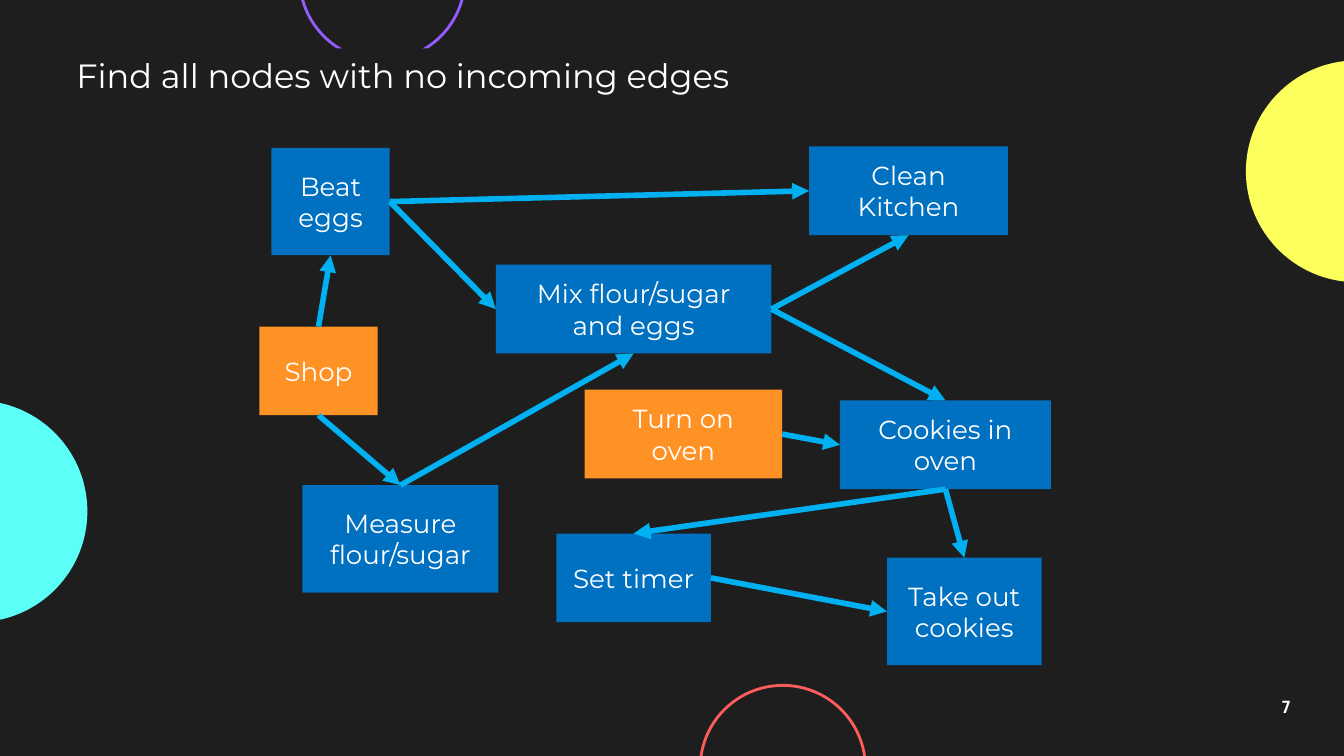
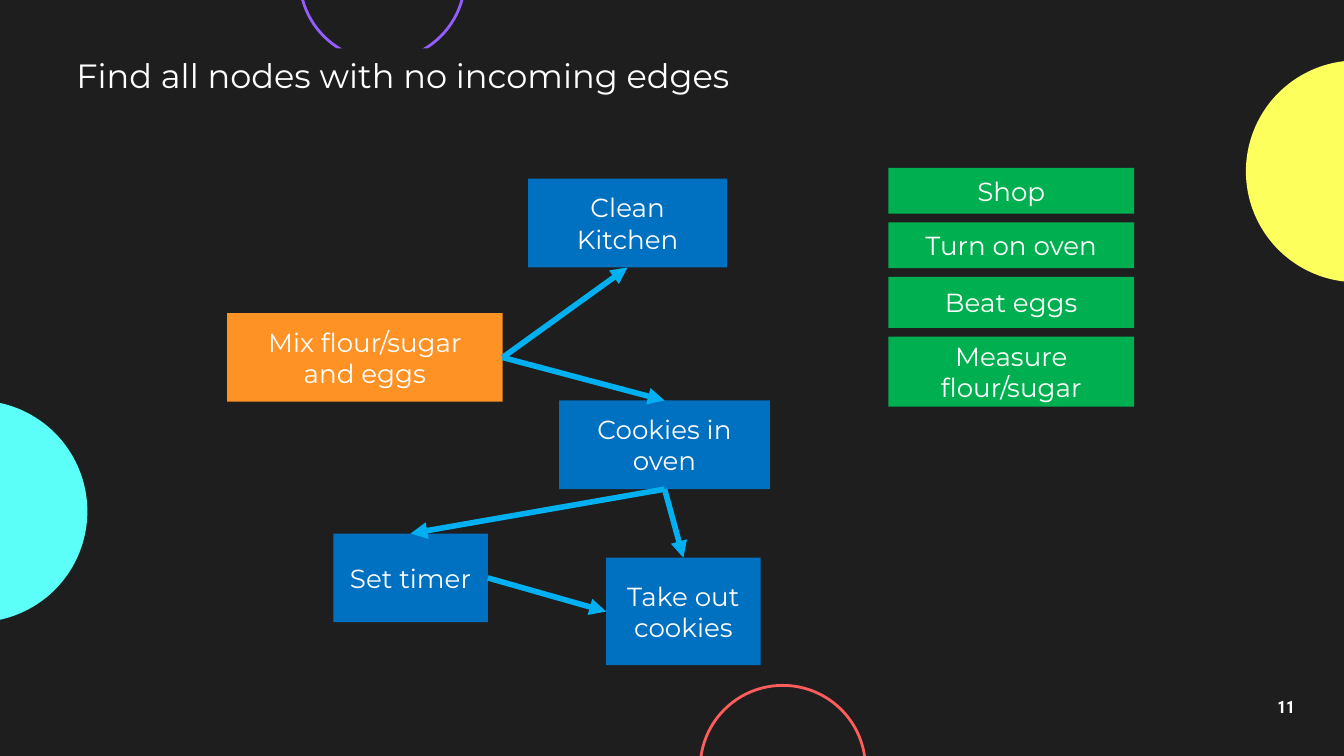
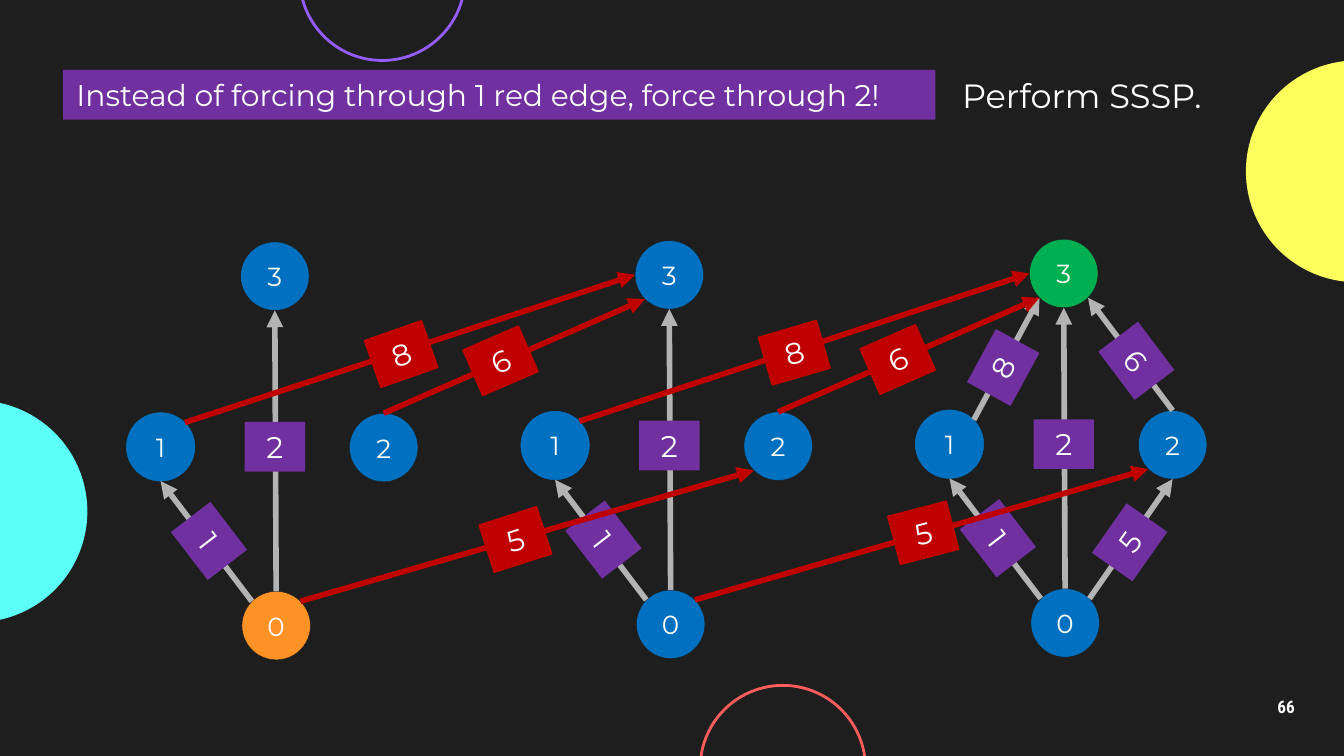
from typing import NamedTuple

from lxml.etree import SubElement
from pptx import Presentation
from pptx.dml.color import RGBColor
from pptx.enum.shapes import MSO_CONNECTOR, MSO_SHAPE
from pptx.enum.text import MSO_ANCHOR, MSO_AUTO_SIZE, PP_ALIGN
from pptx.oxml.ns import qn
from pptx.util import Inches, Pt

# The slide is a grid of 100 columns by 56.25 rows of square cells.
CELL = Inches(0.1)
COLUMNS, ROWS = 100, 56.25

DARK, WHITE, GREY = "1E1E1E", "FFFFFF", "B3B3B3"
BLUE, SKY, ORANGE = "0070C0", "00B0F0", "FF9225"
GREEN, PURPLE, RED = "00B050", "7030A0", "C00000"

NODE_TEXT = {"size": Pt(14), "name": "Montserrat"}
LABEL_TEXT = {"size": Pt(16), "name": "Montserrat"}
TITLE_TEXT = {"size": Pt(18), "name": "Montserrat"}
PAGE_TEXT = {"size": Pt(9.2), "name": "Roboto Condensed", "bold": True}

MIDDLE = {"vertical_anchor": MSO_ANCHOR.MIDDLE, "word_wrap": True}
GROWING = {"vertical_anchor": MSO_ANCHOR.TOP, "word_wrap": True,
           "auto_size": MSO_AUTO_SIZE.SHAPE_TO_FIT_TEXT}
ONE_LINE = GROWING | {"word_wrap": False}
PAGE_FRAME = MIDDLE | {f"margin_{side}": CELL for side in ("left", "top", "right", "bottom")}

# Directions from the centre of a shape to its outline.
TOP, BOTTOM, LEFT, RIGHT = (0, -1), (0, 1), (-1, 0), (1, 0)
DIAGONAL = 0.71
TOP_LEFT, TOP_RIGHT = (-DIAGONAL, -DIAGONAL), (DIAGONAL, -DIAGONAL)
BOTTOM_LEFT, BOTTOM_RIGHT = (-DIAGONAL, DIAGONAL), (DIAGONAL, DIAGONAL)

TASK_SIZES = {
    "Beat eggs": (8.8, 8),
    "Mix flour/sugar and eggs": (20.5, 6.6),
    "Clean Kitchen": (14.8, 6.6),
    "Cookies in oven": (15.7, 6.6),
    "Turn on oven": (14.7, 6.6),
    "Shop": (8.8, 6.6),
    "Measure flour/sugar": (14.6, 8),
    "Set timer": (11.5, 6.6),
    "Take out cookies": (11.5, 8),
}
TASK_EDGES = [
    ("Beat eggs", RIGHT, "Clean Kitchen", LEFT),
    ("Beat eggs", RIGHT, "Mix flour/sugar and eggs", LEFT),
    ("Mix flour/sugar and eggs", RIGHT, "Clean Kitchen", BOTTOM),
    ("Mix flour/sugar and eggs", RIGHT, "Cookies in oven", TOP),
    ("Measure flour/sugar", TOP, "Mix flour/sugar and eggs", BOTTOM),
    ("Shop", TOP, "Beat eggs", BOTTOM),
    ("Shop", BOTTOM, "Measure flour/sugar", TOP),
    ("Turn on oven", RIGHT, "Cookies in oven", LEFT),
    ("Cookies in oven", BOTTOM, "Set timer", TOP),
    ("Cookies in oven", BOTTOM, "Take out cookies", TOP),
    ("Set timer", RIGHT, "Take out cookies", LEFT),
]
ALL_TASKS = {
    "Beat eggs": (0.9, 0.1),
    "Mix flour/sugar and eggs": (17.6, 8.8),
    "Clean Kitchen": (40.9, 0),
    "Cookies in oven": (43.2, 18.9),
    "Turn on oven": (24.2, 18.1),
    "Shop": (0, 13.4),
    "Measure flour/sugar": (3.2, 25.2),
    "Set timer": (22.1, 28.8),
    "Take out cookies": (46.7, 30.6),
}
REMAINING_TASKS = {
    "Mix flour/sugar and eggs": (0, 10),
    "Clean Kitchen": (22.4, 0),
    "Cookies in oven": (24.7, 16.5),
    "Set timer": (7.9, 26.4),
    "Take out cookies": (28.2, 28.2),
}
DONE_TASKS = [("Shop", 3.4), ("Turn on oven", 3.4), ("Beat eggs", 3.8),
              ("Measure flour/sugar", 5.2)]

LAYER_NODES = {"1": (0, 12.7), "0": (8.6, 26), "2": (16.6, 12.75), "3": (8.5, 0)}
NODE_SIZE = 5.1
LABEL_SIZE = (4.5, 3.7)
LAYER_EDGES = [("0", TOP_LEFT, "1", BOTTOM), ("0", TOP, "3", BOTTOM)]
LAST_LAYER_EDGES = [("1", TOP_RIGHT, "3", BOTTOM_LEFT), ("0", TOP_RIGHT, "2", BOTTOM),
                    ("2", TOP, "3", BOTTOM_RIGHT)]
CROSS_EDGES = [("1", TOP_RIGHT, "3", LEFT), ("0", TOP_RIGHT, "2", BOTTOM_LEFT),
               ("2", TOP, "3", BOTTOM_LEFT)]
# Weight labels: text, column, row, rotation.
LAYER_LABELS = [("2", 8.8, 13.4, 0), ("1", 3.9, 20.4, 52.5)]
LAST_LAYER_LABELS = [("8", 4.3, 7.7, 298.6), ("5", 13.7, 20.7, 305.1), ("6", 14.2, 7.2, 53)]
CROSS_LABELS = [
    [("8", 18.2, 6.5, 340.7), ("5", 26.7, 20.3, 342.2), ("6", 25.6, 7, 336.6)],
    [("8", 18.1, 6.5, 343.7), ("5", 27.7, 19.9, 345.4), ("6", 25.8, 7, 336.3)],
]


class Box(NamedTuple):
    left: float
    top: float
    width: float
    height: float

    def inner(self, column, row, width, height):
        """Box placed relative to this one."""
        return Box(self.left + column, self.top + row, width, height)

    def lengths(self):
        return [int(CELL * value) for value in self]


PAGE = Box(0, 0, COLUMNS, ROWS)


def color(hex_string):
    return RGBColor.from_string(hex_string)


def set_values(target, values):
    for name, value in values.items():
        setattr(target, name, value)


def write(shape, text, font, frame, align=PP_ALIGN.CENTER):
    set_values(shape.text_frame, frame)
    paragraph = shape.text_frame.paragraphs[0]
    paragraph.alignment = align
    run = paragraph.add_run()
    run.text = text
    set_values(run.font, font)
    run.font.color.rgb = color(WHITE)
    return paragraph


def draw_shape(slide, kind, box, fill=None, line=None, line_width=0.25):
    shape = slide.shapes.add_shape(kind, *box.lengths())
    shape.shadow.inherit = False
    for paint, hex_string in ((shape.fill, fill), (shape.line.fill, line)):
        if hex_string:
            paint.solid()
            paint.fore_color.rgb = color(hex_string)
        else:
            paint.background()
    if line:
        shape.line.width = Pt(line_width)
    return shape


def outline_point(shape, direction):
    across, down = direction
    return (int(shape.left + shape.width * (1 + across) / 2),
            int(shape.top + shape.height * (1 + down) / 2))


def draw_arrow(slide, source, source_side, target, target_side, hex_string):
    connector = slide.shapes.add_connector(
        MSO_CONNECTOR.STRAIGHT,
        *outline_point(source, source_side), *outline_point(target, target_side))
    connector.line.color.rgb = color(hex_string)
    connector.line.width = Pt(3)
    properties = connector._element.spPr
    SubElement(properties.find(qn("a:ln")), qn("a:tailEnd"), type="triangle")
    SubElement(properties, qn("a:effectLst"))


def draw_edges(slide, edges, sources, targets, hex_string):
    for source, source_side, target, target_side in edges:
        if source in sources and target in targets:
            draw_arrow(slide, sources[source], source_side,
                       targets[target], target_side, hex_string)


def add_page(presentation, number):
    """Blank slide with the shared background circles and page number."""
    slide = presentation.slides.add_slide(presentation.slide_layouts[6])
    slide.background.fill.solid()
    slide.background.fill.fore_color.rgb = color(DARK)
    for column, row, size, fill, line in (
            (-10, 29.8, 16.5, "5CFFF8", None), (92.7, 4.5, 16.5, "FDFF5C", None),
            (22.3, -7.8, 12.3, None, "955CFF"), (52.1, 51, 12.3, None, "FF5C5C")):
        draw_shape(slide, MSO_SHAPE.OVAL, PAGE.inner(column, row, size, size), fill, line, 1.5)
    page_number = slide.shapes.add_textbox(*PAGE.inner(92.7, 51, 6, 3.4).lengths())
    write(page_number, str(number), PAGE_TEXT, PAGE_FRAME).line_spacing = 0.9
    return slide


def draw_title(slide, box, text, fill=DARK, font=TITLE_TEXT, frame=ONE_LINE):
    shape = draw_shape(slide, MSO_SHAPE.RECTANGLE, box, fill)
    write(shape, text, font, frame, PP_ALIGN.LEFT)


def draw_task(slide, box, text, fill):
    shape = draw_shape(slide, MSO_SHAPE.RECTANGLE, box, fill)
    write(shape, text, NODE_TEXT, MIDDLE)
    return shape


def draw_task_graph(slide, box, positions):
    """Tasks with their arrows; those without an incoming edge are orange."""
    blocked = {target for source, _, target, _ in TASK_EDGES if source in positions}
    tasks = {
        name: draw_task(slide, box.inner(*position, *TASK_SIZES[name]), name,
                        BLUE if name in blocked else ORANGE)
        for name, position in positions.items()}
    draw_edges(slide, TASK_EDGES, tasks, tasks, SKY)


def draw_done_list(slide, box, gap=0.65):
    row = 0
    for name, height in DONE_TASKS:
        draw_task(slide, box.inner(0, row, box.width, height), name, GREEN)
        row += height + gap


def draw_labels(slide, box, labels, fill, line=None):
    for text, column, row, rotation in labels:
        label = draw_shape(slide, MSO_SHAPE.RECTANGLE, box.inner(column, row, *LABEL_SIZE),
                           fill, line, 0.75)
        label.rotation = rotation
        write(label, text, LABEL_TEXT, GROWING)


def draw_layer(slide, box, edges, labels, fills):
    nodes = {}
    for name, position in LAYER_NODES.items():
        nodes[name] = draw_shape(
            slide, MSO_SHAPE.OVAL, box.inner(*position, NODE_SIZE, NODE_SIZE),
            fills.get(name, BLUE), BLUE if name == "1" else DARK)
        write(nodes[name], name, NODE_TEXT, MIDDLE)
    draw_edges(slide, edges, nodes, nodes, GREY)
    draw_labels(slide, box, labels, PURPLE)
    return nodes


def draw_layered_graph(slide, box):
    """Three copies of the graph, joined by the red edges."""
    boxes = [box.inner(29.35 * index, -0.1 * index, 21.7, box.height) for index in range(3)]
    layers = [
        draw_layer(slide, boxes[0], LAYER_EDGES, LAYER_LABELS, {"0": ORANGE}),
        draw_layer(slide, boxes[1], LAYER_EDGES, LAYER_LABELS, {}),
        draw_layer(slide, boxes[2], LAST_LAYER_EDGES + LAYER_EDGES,
                   LAYER_LABELS + LAST_LAYER_LABELS, {"3": GREEN}),
    ]
    for index, labels in enumerate(CROSS_LABELS):
        draw_edges(slide, CROSS_EDGES, layers[index], layers[index + 1], RED)
        draw_labels(slide, boxes[index], labels, RED, RED)


def add_task_page(presentation, number, graph_box, positions):
    slide = add_page(presentation, number)
    draw_task_graph(slide, graph_box, positions)
    draw_title(slide, PAGE.inner(4.7, 3.6, 52.6, 4), "Find all nodes with no incoming edges")
    return slide


def add_layer_page(presentation, number):
    slide = add_page(presentation, number)
    draw_title(slide, PAGE.inner(70.6, 5.1, 20.7, 4), "Perform SSSP.")
    draw_title(slide, PAGE.inner(4.7, 5.2, 64.9, 3.7),
               "Instead of forcing through 1 red edge, force through 2!",
               PURPLE, LABEL_TEXT, GROWING)
    draw_layered_graph(slide, PAGE.inner(9.4, 18, 80.3, 31.1))


def main():
    presentation = Presentation()
    presentation.slide_width = int(CELL * COLUMNS)
    presentation.slide_height = int(CELL * ROWS)
    add_task_page(presentation, 7, PAGE.inner(19.3, 10.9, 58.9, 38.6), ALL_TASKS)
    slide = add_task_page(presentation, 11, PAGE.inner(16.9, 13.3, 40.4, 36.2), REMAINING_TASKS)
    draw_done_list(slide, PAGE.inner(66.1, 12.5, 18.3, 17.8))
    add_layer_page(presentation, 66)
    presentation.save("out.pptx")


if __name__ == "__main__":
    main()
